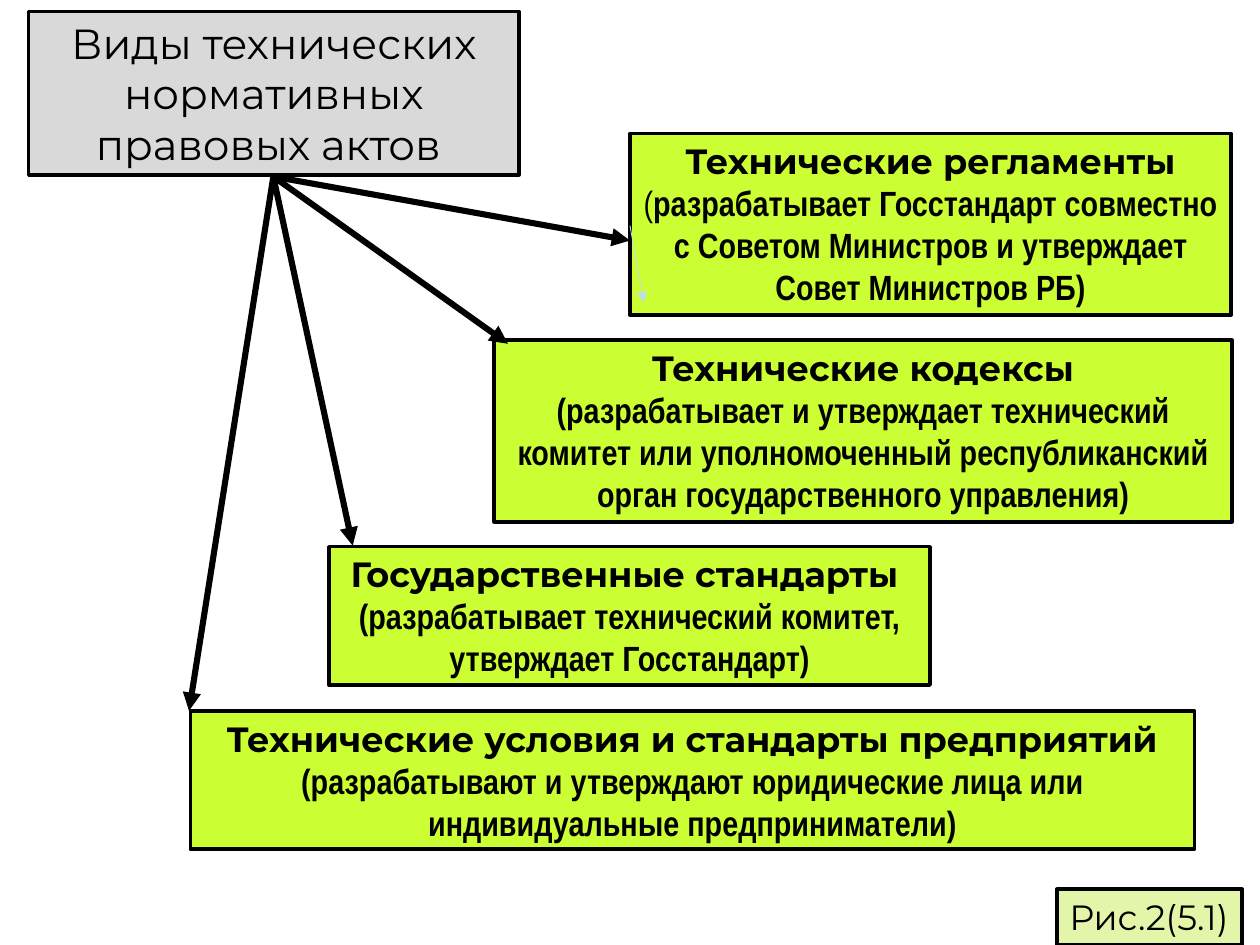
import pptx
import pptx.util
import pptx.dml.color
import pptx.enum.shapes
import pptx.enum.text
import pptx.oxml
from pptx.util import Cm

BLACK = pptx.dml.color.RGBColor(0x00, 0x00, 0x00)
GRAY = pptx.dml.color.RGBColor(0xD9, 0xD9, 0xD9)
LIME = pptx.dml.color.RGBColor(0xCC, 0xFF, 0x33)
PALE = pptx.dml.color.RGBColor(0xE3, 0xF5, 0xA9)
AQUA = pptx.dml.color.RGBColor(0xBB, 0xE0, 0xE3)
HEAD = "Montserrat"
BODY = "Arial Narrow"
CENTER = pptx.enum.text.PP_ALIGN.CENTER
LEFT = pptx.enum.text.PP_ALIGN.LEFT


def add_box(box, fill, width, size, paragraphs, align=CENTER, wrap=True):
    sp = s.shapes.add_shape(pptx.enum.shapes.MSO_SHAPE.RECTANGLE, *map(Cm, box))
    sp.shadow.inherit = False
    sp.fill.solid()
    sp.fill.fore_color.rgb = fill
    sp.line.color.rgb = BLACK
    sp.line.width = pptx.util.Pt(width)
    tf = sp.text_frame
    tf.word_wrap = wrap
    tf.auto_size = pptx.enum.text.MSO_AUTO_SIZE.SHAPE_TO_FIT_TEXT
    tf.vertical_anchor = pptx.enum.text.MSO_ANCHOR.TOP
    for i, runs in enumerate(paragraphs):
        p = tf.add_paragraph() if i else tf.paragraphs[0]
        p.alignment = align
        for text, font, bold in runs:
            r = p.add_run()
            r.text = text
            r.font.name = font
            r.font.size = pptx.util.Pt(size)
            r.font.bold = bold
            r.font.color.rgb = BLACK


def add_arrow(start, end, color, width):
    cx = s.shapes.add_connector(
        pptx.enum.shapes.MSO_CONNECTOR.STRAIGHT, *map(Cm, start + end))
    cx.line.color.rgb = color
    cx.line.width = pptx.util.Pt(width)
    tail = pptx.oxml.xmlchemy.OxmlElement("a:tailEnd")
    tail.set("type", "triangle")
    cx.line._get_or_add_ln().append(tail)
    cx._element.spPr.append(pptx.oxml.xmlchemy.OxmlElement("a:effectLst"))


prs = pptx.Presentation()
prs.slide_width = Cm(25.4)
prs.slide_height = Cm(19.05)
s = prs.slides.add_slide(prs.slide_layouts[6])

add_box((0.58, 0.23, 9.88, 3.3), GRAY, 2, 24, [
    [("Виды технических нормативных", HEAD, False)],
    [("правовых актов ", HEAD, False)],
])

acts = [
    ((12.7, 2.69, 12.12, 3.66), "Технические регламенты", [
        ("(", BODY, False),
        ("разрабатывает Госстандарт совместно с Советом Министров "
         "и утверждает Совет Министров РБ)", BODY, True)]),
    ((9.96, 6.86, 14.88, 3.66), "Технические кодексы", [
        ("(разрабатывает и утверждает технический комитет или уполномоченный "
         "республиканский орган государственного управления)", BODY, True)]),
    ((6.63, 11.02, 12.12, 2.79), "Государственные стандарты ", [
        ("(разрабатывает технический комитет, утверждает Госстандарт)", BODY, True)]),
    ((3.84, 14.33, 20.24, 2.79), "Технические условия и стандарты предприятий", [
        ("(разрабатывают и утверждают юридические лица или "
         "индивидуальные предприниматели)", BODY, True)]),
]
for box, name, details in acts:
    add_box(box, LIME, 2, 20, [[(name, HEAD, True)], details])

add_arrow((12.7, 4.55), (12.98, 6.1), AQUA, 0.5)
for end in [(12.7, 4.85), (3.81, 14.33), (7.11, 11), (10.24, 6.93)]:
    add_arrow((5.51, 3.56), end, BLACK, 3.5)

add_box((21.31, 17.93, 3.73, 1.12), PALE, 2.25, 20,
        [[("Рис.2(5.1)", HEAD, False)]], align=LEFT, wrap=False)

prs.save("out.pptx")
